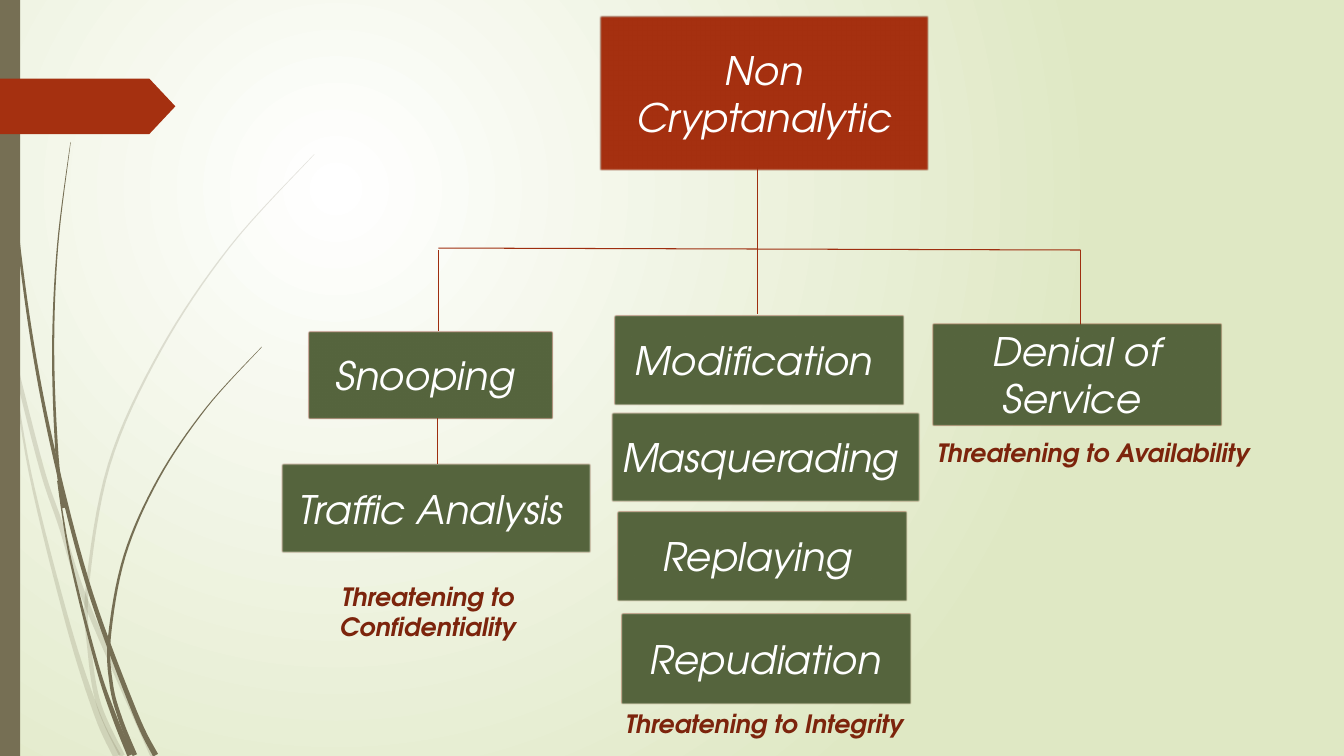
import math

from pptx import Presentation
from pptx.dml.color import RGBColor
from pptx.enum import shapes, text
from pptx.oxml import ns, parse_xml
from pptx.util import Cm, Pt

FONT = "TeX Gyre Adventor"
RED = RGBColor(0xA5, 0x30, 0x10)
DARK_RED = RGBColor(0x7A, 0x24, 0x0C)
CAPTION_RED = RGBColor(0x7C, 0x24, 0x0C)
LINE_RED = RGBColor(0x9E, 0x2E, 0x0F)
GREEN = RGBColor(0x56, 0x65, 0x3E)
PALE_GREEN = RGBColor(0xDF, 0xE8, 0xC4)
OLIVE = RGBColor(0x76, 0x6F, 0x54)
WHITE = RGBColor(0xFF, 0xFF, 0xFF)

# Blades in cm: points along the middle, width at the start and at the end
PALE_BLADES = [
    ([(0, 7.37), (0.34, 9), (1.05, 11.8), (1.52, 13.2), (2.18, 15.2),
      (3.86, 19.05)], 0.1, 0.14),
    ([(0.28, 8.9), (0.76, 11.93), (1.72, 15.75), (2.45, 18), (2.95, 19.05)],
     0.02, 0.2),
    ([(7.92, 3.89), (5.8, 6.21), (4.04, 8.84), (2.75, 11.71), (2.2, 14.83),
      (2.26, 16.4), (2.5, 17.78), (3.08, 19.05)], 0.01, 0.14),
]
DARK_BLADES = [
    ([(0.09, 0), (0.19, 2.79), (0.45, 5.92), (0.88, 9.02), (1.47, 11.9),
      (2.3, 14.99), (3.4, 17.96), (3.92, 19.03)], 0.03, 0.14),
    ([(1.45, 12.12), (1.78, 14.12), (2.43, 16.71), (2.87, 18.03),
      (3.28, 19.03)], 0.02, 0.15),
    ([(1.78, 3.58), (1.45, 6.22), (1.34, 8.86), (1.44, 11.51), (1.6, 12.8)],
     0.01, 0.1),
    ([(6.6, 8.74), (5.19, 10.29), (3.99, 12.07), (3.14, 14.01), (2.76, 16.05),
      (2.81, 17.27), (3.05, 18.16), (3.4, 19.03)], 0.01, 0.12),
]
ATTACKS = [
    ("Snooping ", 7.77, 8.36, 6.17, 2.18),
    ("Traffic Analysis ", 7.09, 11.68, 7.8, 2.26),
    ("Modification ", 15.49, 7.95, 7.29, 2.26),
    ("Masquerading ", 15.42, 10.39, 7.75, 2.26),
    ("Replaying ", 15.57, 12.88, 7.29, 2.26),
    ("Repudiation", 15.65, 15.47, 7.29, 2.26),
    ("Denial of Service ", 23.5, 8.15, 7.29, 2.57),
]
THREATS = [
    ("Threatening to Confidentiality", 6.68, 14.53, 8.2, 1.8),
    ("Threatening to Integrity", 13.94, 17.73, 10.64, 1.02),
    ("Threatening to Availability", 22.23, 10.9, 10.64, 1.02),
]
BRANCHES = [
    (19.08, 4.22, 19.08, 6.25),
    (11.05, 6.25, 27.23, 6.3),
    (11.05, 6.3, 11.05, 8.33),
    (27.23, 6.3, 27.23, 8.33),
    (19.08, 5.89, 19.08, 7.92),
    (11.02, 10.54, 11.02, 11.68),
]


def drawing_xml(body):
    tag = body.split()[0]
    return parse_xml(f"<a:{tag} {ns.nsdecls('a')}{body[len(tag):]}")


def paint_background(page):
    fill = page.background.fill
    fill.gradient()
    for stop, colour in zip(fill.gradient_stops, (WHITE, PALE_GREEN)):
        stop.color.rgb = colour
    gradient = page.element.find(".//" + ns.qn("a:gradFill"))
    gradient.replace(gradient.find(ns.qn("a:lin")), drawing_xml(
        'path path="circle"><a:fillToRect l="50000" t="50000" '
        'r="100000" b="100000"/></a:path>'))


def spline(points, steps=8):
    """Return points on a smooth curve through the given points."""
    padded = [points[0], *points, points[-1]]
    curve = []
    for a, b, c, d in zip(padded, padded[1:], padded[2:], padded[3:]):
        for step in range(steps):
            t = step / steps
            curve.append(tuple(
                q + t * ((r - p) + t * ((2 * p - 5 * q + 4 * r - s)
                                        + t * (3 * q - p - 3 * r + s))) / 2
                for p, q, r, s in zip(a, b, c, d)))
    return curve + [points[-1]]


def flat_shape(shape, colour):
    shape.shadow.inherit = False
    shape.fill.solid()
    shape.fill.fore_color.rgb = colour
    shape.line.fill.background()
    return shape


def add_blade(page, points, start_width, end_width, opacity):
    curve = spline(points)
    last = len(curve) - 1
    left, right = [], []
    for index, (x, y) in enumerate(curve):
        before, after = curve[max(index - 1, 0)], curve[min(index + 1, last)]
        along_x, along_y = after[0] - before[0], after[1] - before[1]
        half = (start_width + (end_width - start_width) * index / last) / 2
        scale = half / math.hypot(along_x, along_y)
        left.append((Cm(x - along_y * scale), Cm(y + along_x * scale)))
        right.append((Cm(x + along_y * scale), Cm(y - along_x * scale)))
    outline = left + right[::-1]
    builder = page.shapes.build_freeform(*outline[0])
    builder.add_line_segments(outline[1:], close=True)
    blade = flat_shape(builder.convert_to_shape(), OLIVE)
    if opacity < 100:
        colour = blade.element.spPr.find(".//" + ns.qn("a:srgbClr"))
        colour.append(drawing_xml(f'alpha val="{opacity * 1000}"/>'))


def add_plain_shape(page, kind, colour, *place):
    return flat_shape(page.shapes.add_shape(kind, *map(Cm, place)), colour)


def write(shape, words, size, colour, bold):
    frame = shape.text_frame
    frame.word_wrap = True
    para = frame.paragraphs[0]
    para.alignment = text.PP_ALIGN.CENTER
    span = para.add_run()
    span.text = words
    span.font.name = FONT
    span.font.size = Pt(size)
    span.font.bold = bold
    span.font.italic = True
    span.font.color.rgb = colour


def style_node(box, words, colour):
    """Give a box of the tree its soft edge, fill and label."""
    flat_shape(box, colour)
    box.line.color.rgb = DARK_RED
    box.line.width = Pt(1.25)
    effects = box.element.spPr.find(ns.qn("a:effectLst"))
    effects.append(drawing_xml('softEdge rad="12700"/>'))
    write(box, words, 28, WHITE, False)
    box.text_frame.vertical_anchor = text.MSO_ANCHOR.MIDDLE


def add_root(page, words, *place):
    title = page.shapes.title
    title.left, title.top, title.width, title.height = map(Cm, place)
    style_node(title, words, RED)
    title.text_frame.auto_size = text.MSO_AUTO_SIZE.NONE
    # Bring the title in front of the decoration
    page.shapes.element.append(title.element)


def add_attack(page, words, *place):
    box = page.shapes.add_shape(shapes.MSO_SHAPE.RECTANGLE, *map(Cm, place))
    style_node(box, words, GREEN)


def add_threat(page, words, *place):
    caption = page.shapes.add_textbox(*map(Cm, place))
    write(caption, words, 18, CAPTION_RED, True)


def add_branch(page, *ends):
    branch = page.shapes.add_connector(
        shapes.MSO_CONNECTOR.STRAIGHT, *map(Cm, ends))
    branch.line.color.rgb = LINE_RED
    branch.line.width = Pt(0.75)
    branch.element.spPr.append(drawing_xml("effectLst />"))


def main():
    deck = Presentation()
    deck.slide_width, deck.slide_height = Cm(33.87), Cm(19.05)
    page = deck.slides.add_slide(deck.slide_layouts.get_by_name("Title Only"))
    paint_background(page)
    for blades, opacity in ((PALE_BLADES, 20), (DARK_BLADES, 100)):
        for blade in blades:
            add_blade(page, *blade, opacity)
    add_plain_shape(page, shapes.MSO_SHAPE.RECTANGLE, OLIVE, 0, 0, 0.51, 19.05)
    tag = add_plain_shape(
        page, shapes.MSO_SHAPE.PENTAGON, RED, 0, 1.98, 4.42, 1.4)
    tag.adjustments[0] = 0.47
    add_root(page, "Non Cryptanalytic", 15.14, 0.41, 8.23, 3.86)
    for branch in BRANCHES:
        add_branch(page, *branch)
    for attack in ATTACKS:
        add_attack(page, *attack)
    for threat in THREATS:
        add_threat(page, *threat)
    deck.save("out.pptx")


if __name__ == "__main__":
    main()
